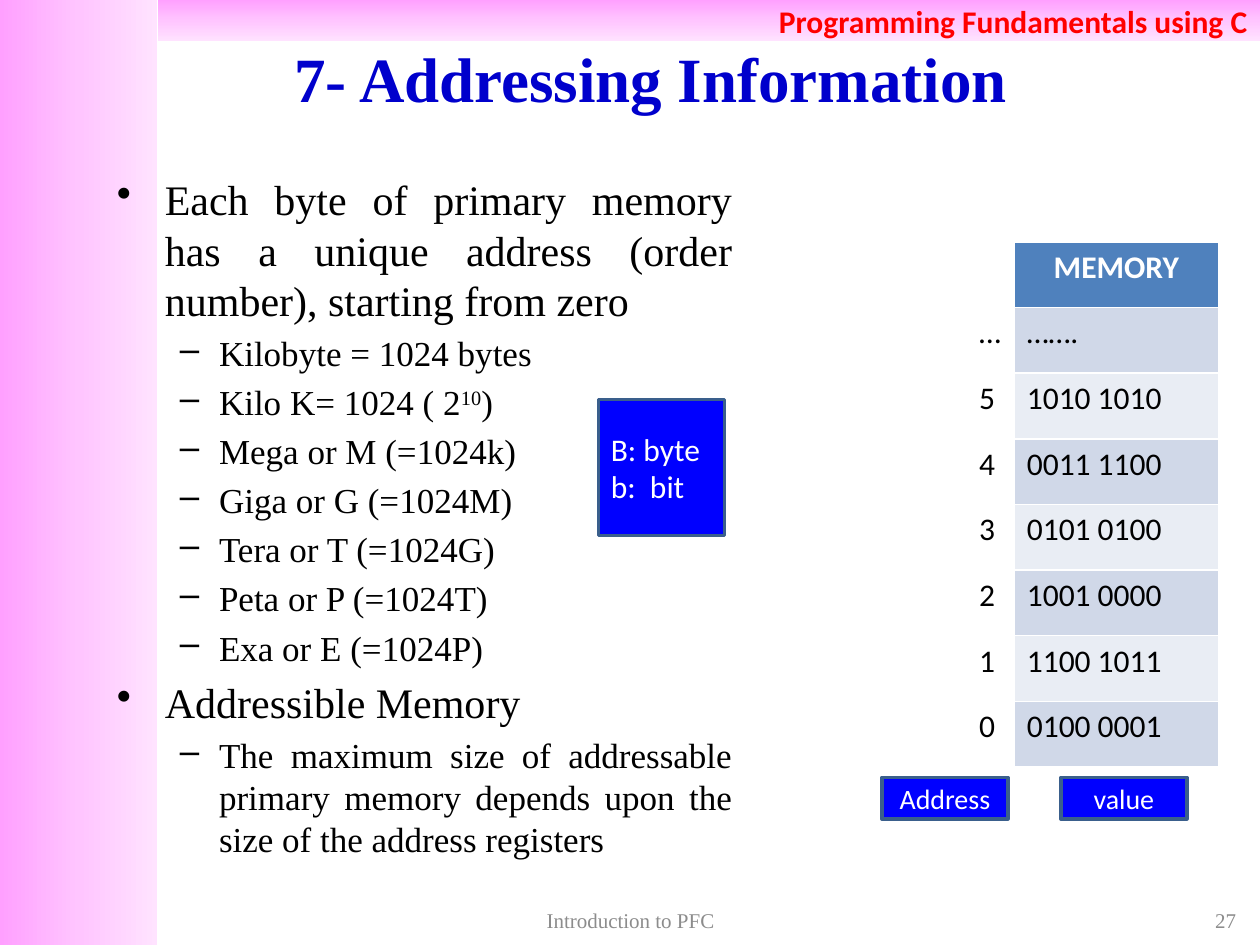
from copy import deepcopy
from pptx import Presentation
from pptx.util import Inches, Pt
from pptx.dml.color import RGBColor
from pptx.enum import shapes, text
from pptx.oxml import ns
from lxml import etree

BLACK = RGBColor(0, 0, 0)
WHITE = RGBColor(255, 255, 255)
RED = RGBColor(255, 0, 0)
TITLE_BLUE = RGBColor(0, 0, 0xCC)
BOX_BLUE = RGBColor(0, 0, 255)
BOX_LINE = RGBColor(0x3A, 0x5F, 0x8C)
GRAY = RGBColor(0x8C, 0x8C, 0x8C)
HEADER = RGBColor(0x4F, 0x81, 0xBD)
BANDS = [RGBColor(0xD0, 0xD8, 0xE8), RGBColor(0xE9, 0xED, 0xF4)]
PINKS = [RGBColor(0xFF, 0xA0, 0xFF), RGBColor(0xFF, 0xC5, 0xFF), RGBColor(0xFF, 0xE3, 0xFF)]
SERIF, SANS = "Times New Roman", "Calibri"
LEFT, CENTER, RIGHT, JUSTIFY = (text.PP_ALIGN.LEFT, text.PP_ALIGN.CENTER,
                                text.PP_ALIGN.RIGHT, text.PP_ALIGN.JUSTIFY)

OUTLINE = [
    (0, ["Each byte of primary memory has a unique address (order number), starting from zero"]),
    (1, ["Kilobyte = 1024 bytes"]),
    (1, ["Kilo K= 1024 ( 2", "10", ")"]),
    (1, ["Mega or M (=1024k)"]),
    (1, ["Giga or G (=1024M)"]),
    (1, ["Tera or T (=1024G)"]),
    (1, ["Peta or P (=1024T)"]),
    (1, ["Exa or E (=1024P)"]),
    (0, ["Addressible Memory"]),
    (1, ["The maximum size of addressable primary memory depends upon the size of the address registers"]),
]
LEVELS = [(24, 0.38, 0.38, "•"), (20, 0.81, 0.31, "–")]
MEMORY = [("", "MEMORY"), ("…", "……."), ("5", "1010 1010"), ("4", "0011 1100"),
          ("3", "0101 0100"), ("2", "1001 0000"), ("1", "1100 1011"), ("0", "0100 0001")]


def inches(box):
    return [Inches(v) for v in box]


def style(p, size, font, color, align=LEFT, bold=False):
    p.alignment = align
    p.font.size, p.font.name, p.font.bold = Pt(size), font, bold
    p.font.color.rgb = color


def write(sp, lines, *look):
    tf = sp.text_frame
    tf.word_wrap = True
    tf.auto_size = text.MSO_AUTO_SIZE.NONE
    tf.vertical_anchor = text.MSO_ANCHOR.MIDDLE
    tf.text = lines
    for p in tf.paragraphs:
        style(p, *look)


def add_rect(s, box):
    sp = s.shapes.add_shape(shapes.MSO_SHAPE.RECTANGLE, *inches(box))
    sp.shadow.inherit = False
    return sp


def add_band(s, box, angle):
    sp = add_rect(s, box)
    sp.line.fill.background()
    sp.fill.gradient()
    sp.fill.gradient_angle = angle
    stops = sp._element.spPr.find(".//" + ns.qn("a:gsLst"))
    stops.append(deepcopy(stops[0]))
    for i, (stop, pink) in enumerate(zip(sp.fill.gradient_stops, PINKS)):
        stop.position = i / 2
        stop.color.rgb = pink
    return sp


def add_title(s, box):
    sp = s.shapes.title
    sp.left, sp.top, sp.width, sp.height = inches(box)
    write(sp, "7- Addressing Information", 36, SERIF, TITLE_BLUE, CENTER, True)


def add_outline(s, box):
    tf = s.shapes.add_textbox(*inches(box)).text_frame
    tf.word_wrap = True
    for i, (level, parts) in enumerate(OUTLINE):
        p = tf.add_paragraph() if i else tf.paragraphs[0]
        size, margin, hang, bullet = LEVELS[level]
        style(p, size, SERIF, BLACK, JUSTIFY)
        p.level = level
        p.space_before = Pt(size * 0.2)
        pPr = p._p.get_or_add_pPr()
        pPr.set("marL", str(Inches(margin)))
        pPr.set("indent", str(-Inches(hang)))
        mark = etree.Element(ns.qn("a:buChar"), char=bullet)
        pPr.find(ns.qn("a:defRPr")).addprevious(mark)
        for j, part in enumerate(parts):
            r = p.add_run()
            r.text = part
            if j == 1:
                r.font._element.set("baseline", "30000")


def add_memory(s, box):
    table = s.shapes.add_table(len(MEMORY), 2, *inches(box)).table
    table.columns[0].width = Inches(0.38)
    table.columns[1].width = Inches(box[2] - 0.38)
    for i, row in enumerate(MEMORY):
        for j, value in enumerate(row):
            cell = table.cell(i, j)
            cell.text = value
            head = i == 0
            style(cell.text_frame.paragraphs[0], 18, SANS, WHITE if head else BLACK,
                  CENTER if head else LEFT, head)
            if j == 0:
                cell.fill.background()
            else:
                cell.fill.solid()
                cell.fill.fore_color.rgb = HEADER if head else BANDS[(i - 1) % 2]


def add_label(s, box, lines, size, align):
    sp = add_rect(s, box)
    sp.fill.solid()
    sp.fill.fore_color.rgb = BOX_BLUE
    sp.line.color.rgb = BOX_LINE
    sp.line.width = Pt(2)
    write(sp, lines, size, SANS, WHITE, align)


def add_footer(s, box, words, align):
    write(s.shapes.add_textbox(*inches(box)), words, 12, SERIF, GRAY, align)


prs = Presentation()
prs.slide_width, prs.slide_height = Inches(10), Inches(7.5)
s = prs.slides.add_slide(prs.slide_layouts[5])
add_band(s, (0, 0, 1.25, 7.5), 0)
banner = add_band(s, (1.25, 0, 8.75, 0.33), 270)
write(banner, "Programming Fundamentals using C", 18, SANS, RED, RIGHT, True)
add_title(s, (0.83, 0.3, 8.67, 0.62))
add_outline(s, (0.83, 1.33, 5.08, 5.37))
add_memory(s, (7.67, 1.92, 2, 4.17))
add_label(s, (4.75, 3.17, 1, 1.08), "B: byte\nb:  bit", 18, LEFT)
add_label(s, (7, 6.17, 1, 0.33), "Address", 16, CENTER)
add_label(s, (8.42, 6.17, 1, 0.33), "value", 16, CENTER)
add_footer(s, (7.58, 7.17, 2.33, 0.27), "27", RIGHT)
add_footer(s, (3.42, 7.17, 3.17, 0.27), "Introduction to PFC", CENTER)
prs.save("out.pptx")
